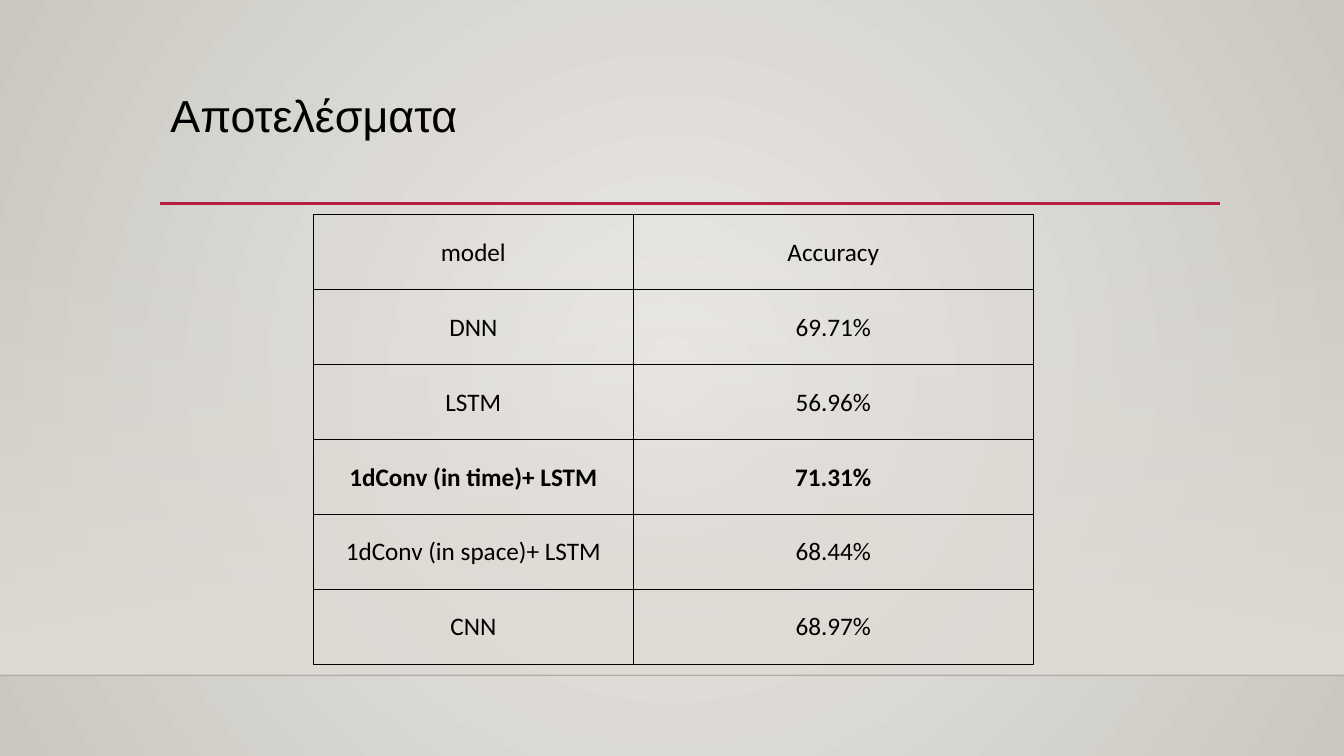
import dataclasses
import typing

import lxml.etree
import pptx
import pptx.dml.color
import pptx.enum.shapes
import pptx.enum.text
import pptx.oxml
import pptx.oxml.ns
import pptx.util

Inches = pptx.util.Inches
Pt = pptx.util.Pt
qn = pptx.oxml.ns.qn


@dataclasses.dataclass(frozen=True)
class Rule:
    left: float
    right: float
    y: float
    color: str
    width: float
    opacity: int = 100


@dataclasses.dataclass(frozen=True)
class Result:
    model: str
    accuracy: str
    bold: bool = False


RULES = [
    Rule(0, 13.33, 6.7, "000001", 1, opacity=20),
    Rule(1.59, 12.1, 2.02, "B71E42", 2.5),
]
RESULTS = [
    Result("model", "Accuracy"),
    Result("DNN", "69.71%"),
    Result("LSTM", "56.96%"),
    Result("1dConv (in time)+ LSTM", "71.31%", bold=True),
    Result("1dConv (in space)+ LSTM", "68.44%"),
    Result("CNN", "68.97%"),
]
COLUMN_WIDTHS = (3.17, 3.97)
ROW_HEIGHT = 4.46 / len(RESULTS)


def rgb(color: str) -> pptx.dml.color.RGBColor:
    return pptx.dml.color.RGBColor.from_string(color)


def set_gradient(fill: typing.Any, start: str, end: str) -> None:
    fill.gradient()
    for stop, color in zip(fill.gradient_stops, (start, end)):
        stop.color.rgb = rgb(color)


def set_opacity(color_element: typing.Any, percent: int) -> None:
    lxml.etree.SubElement(color_element, qn("a:alpha"), val=str(percent * 1000))


def write(frame: typing.Any, text: str, *, font: str, size: float, align: typing.Any,
          anchor: typing.Any, bold: bool = False, spacing: float = 1.0) -> None:
    frame.vertical_anchor = anchor
    paragraph = frame.paragraphs[0]
    paragraph.alignment = align
    paragraph.line_spacing = spacing
    run = paragraph.add_run()
    run.text = text
    run.font.name = font
    run.font.size = Pt(size)
    run.font.bold = bold
    run.font.color.rgb = rgb("000000")


def paint_background(slide: typing.Any) -> None:
    set_gradient(slide.background.fill, "ECEAE7", "CAC7C1")
    gradient = slide.element.find(".//" + qn("a:gradFill"))
    gradient.remove(gradient.find(qn("a:lin")))
    circle = lxml.etree.SubElement(gradient, qn("a:path"), path="circle")
    lxml.etree.SubElement(circle, qn("a:fillToRect"), l="50000", t="50000", r="50000", b="50000")


def add_floor_fade(slide: typing.Any) -> None:
    fade = slide.shapes.add_shape(pptx.enum.shapes.MSO_SHAPE.RECTANGLE,
                                  0, Inches(2.21), Inches(13.33), Inches(4.49))
    fade.shadow.inherit = False
    fade.line.fill.background()
    set_gradient(fade.fill, "DFDBD5", "DFDBD5")
    fade.fill.gradient_angle = 270
    set_opacity(fade.element.find(".//" + qn("a:gs"))[0], 0)


def add_rule(slide: typing.Any, rule: Rule) -> None:
    line = slide.shapes.add_connector(pptx.enum.shapes.MSO_CONNECTOR.STRAIGHT,
                                      Inches(rule.left), Inches(rule.y),
                                      Inches(rule.right), Inches(rule.y))
    line.line.color.rgb = rgb(rule.color)
    line.line.width = Pt(rule.width)
    properties = line.element.spPr
    if rule.opacity < 100:
        set_opacity(properties.find(".//" + qn("a:srgbClr")), rule.opacity)
    lxml.etree.SubElement(properties, qn("a:effectLst"))


def add_borders(cell: typing.Any, color: str, width: float) -> None:
    properties = cell._tc.get_or_add_tcPr()
    for position, side in enumerate(("a:lnL", "a:lnR", "a:lnT", "a:lnB")):
        border = lxml.etree.Element(qn(side), w=str(Pt(width)))
        solid = lxml.etree.SubElement(border, qn("a:solidFill"))
        lxml.etree.SubElement(solid, qn("a:srgbClr"), val=color)
        properties.insert(position, border)


def add_results(slide: typing.Any) -> None:
    table = slide.shapes.add_table(len(RESULTS), len(COLUMN_WIDTHS), Inches(3.11), Inches(2.13),
                                   Inches(sum(COLUMN_WIDTHS)),
                                   Inches(ROW_HEIGHT * len(RESULTS))).table
    table.first_row = False
    table.horz_banding = False
    for column, width in zip(table.columns, COLUMN_WIDTHS):
        column.width = Inches(width)
    for row, result in zip(table.rows, RESULTS):
        row.height = Inches(ROW_HEIGHT)
        for cell, text in zip(row.cells, (result.model, result.accuracy)):
            cell.fill.background()
            cell.margin_left = cell.margin_right = cell.margin_top = Inches(0.01)
            cell.margin_bottom = 0
            write(cell.text_frame, text, font="Calibri", size=18, bold=result.bold,
                  align=pptx.enum.text.PP_ALIGN.CENTER, anchor=None)
            cell.vertical_anchor = pptx.enum.text.MSO_ANCHOR.MIDDLE
            add_borders(cell, "000000", 0.5)


def add_title(slide: typing.Any) -> None:
    title = slide.shapes.title
    title.left, title.top = Inches(1.59), Inches(0.88)
    title.width, title.height = Inches(10.5), Inches(1.15)
    write(title.text_frame, "Αποτελέσματα", font="Arial", size=32, spacing=0.9,
          align=pptx.enum.text.PP_ALIGN.LEFT, anchor=pptx.enum.text.MSO_ANCHOR.TOP)


def main() -> None:
    presentation = pptx.Presentation()
    presentation.slide_width = Inches(13.33)
    presentation.slide_height = Inches(7.5)
    slide = presentation.slides.add_slide(presentation.slide_layouts.get_by_name("Title Only"))
    paint_background(slide)
    add_floor_fade(slide)
    for rule in RULES:
        add_rule(slide, rule)
    add_title(slide)
    add_results(slide)
    presentation.save("out.pptx")


if __name__ == "__main__":
    main()
